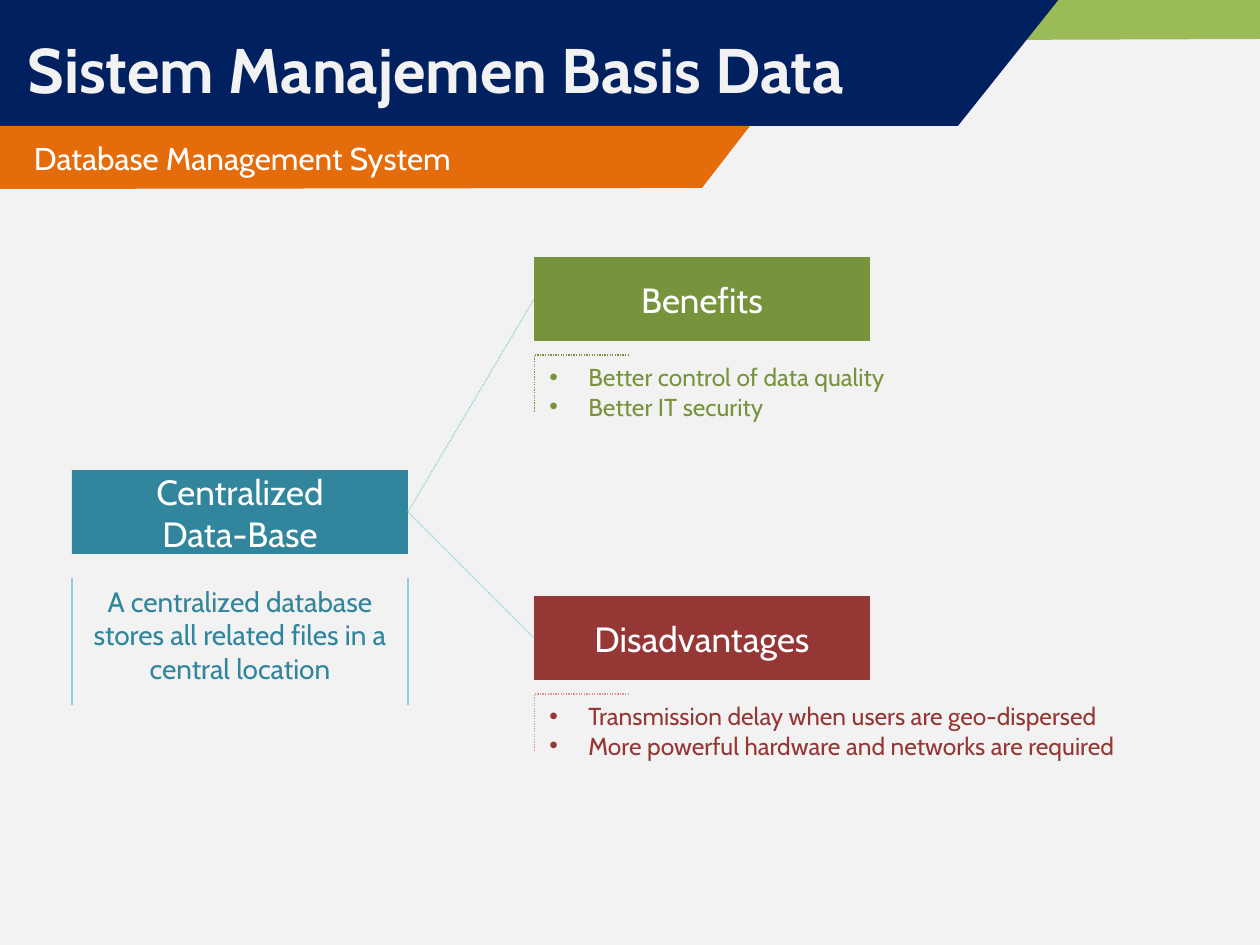
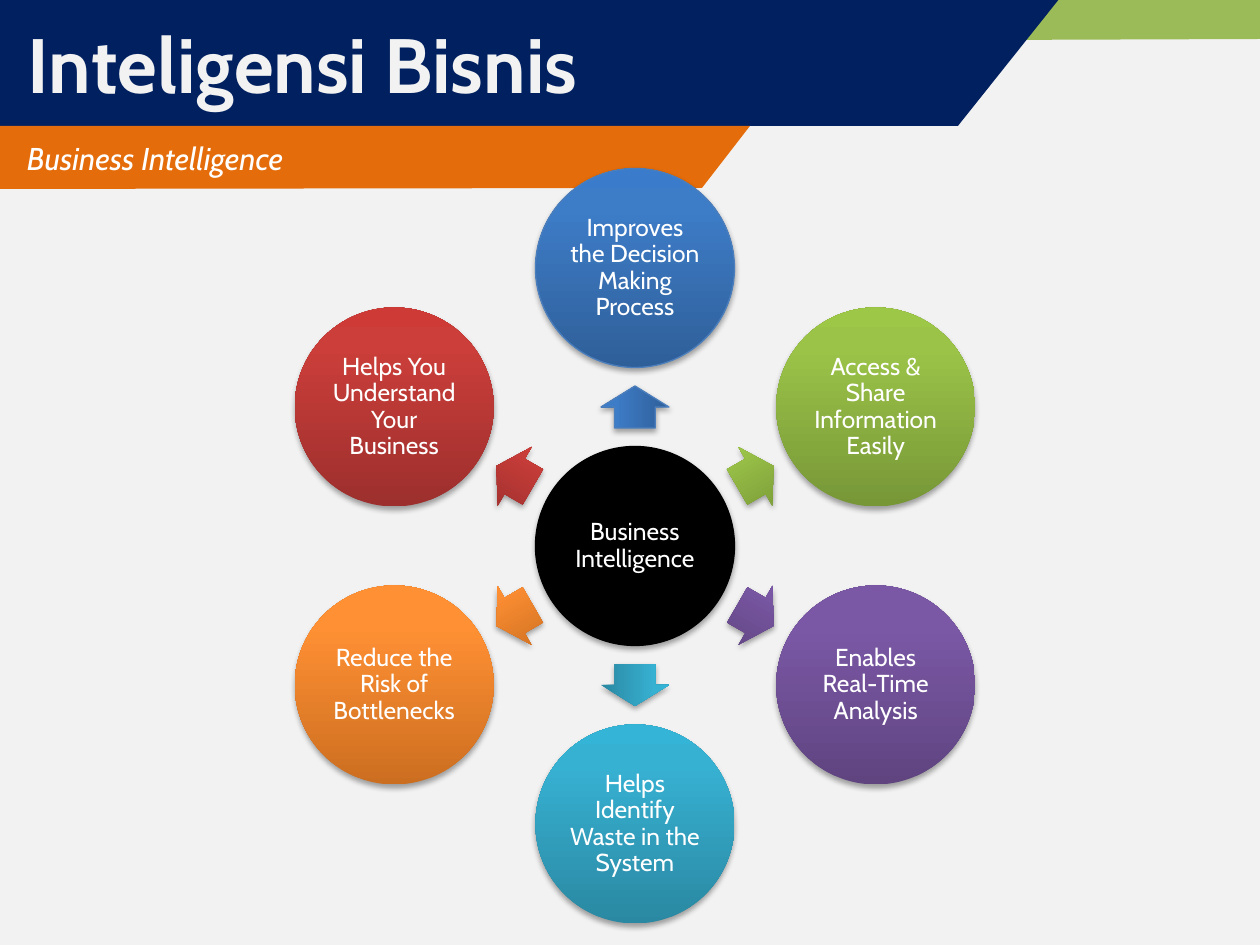
"""Build two slides on database management and business intelligence."""
from copy import deepcopy
from math import cos, radians, sin

from lxml import etree
from pptx import Presentation
from pptx.dml.color import RGBColor
from pptx.enum.dml import MSO_LINE
from pptx.enum.shapes import MSO_CONNECTOR, MSO_SHAPE
from pptx.enum.text import MSO_ANCHOR, MSO_AUTO_SIZE, PP_ALIGN
from pptx.oxml.ns import qn
from pptx.util import Emu, Pt

PX = 914400 / 126
FONT = "Cabin"
LEFT, CENTER = PP_ALIGN.LEFT, PP_ALIGN.CENTER
TOP, MIDDLE = MSO_ANCHOR.TOP, MSO_ANCHOR.MIDDLE
STRAIGHT, ELBOW = MSO_CONNECTOR.STRAIGHT, MSO_CONNECTOR.ELBOW
RECTANGLE, OVAL = MSO_SHAPE.RECTANGLE, MSO_SHAPE.OVAL
RIGHT_ARROW, LEFT_ARROW = MSO_SHAPE.RIGHT_ARROW, MSO_SHAPE.LEFT_ARROW
DOTTED = MSO_LINE.ROUND_DOT

PAPER = RGBColor(0xF2, 0xF2, 0xF2)
WHITE = RGBColor(0xFF, 0xFF, 0xFF)
BLACK = RGBColor(0, 0, 0)
NAVY = RGBColor(0x00, 0x20, 0x60)
ORANGE = RGBColor(0xE4, 0x6C, 0x0A)
LIME = RGBColor(0x9B, 0xBB, 0x59)
TEAL = RGBColor(0x31, 0x85, 0x9C)
PALE_TEAL = RGBColor(0x93, 0xCD, 0xDD)
GREEN = RGBColor(0x77, 0x93, 0x3C)
RED = RGBColor(0x95, 0x37, 0x35)
PALE_RED = RGBColor(0xD9, 0x96, 0x94)
BLUE_EDGE = RGBColor(0x4B, 0x7E, 0xBC)

CORNER_BAND = [(717, 0), (1260, 0), (1260, 39), (703, 41)]
TITLE_BAND = [(0, 0), (1060, -2), (958, 126), (0, 126)]
SUBTITLE_BAND = [(0, 126), (750, 126), (702, 188), (0, 189)]

DATABASE = {"title": "Sistem Manajemen Basis Data", "title_size": 36, "title_top": 5,
            "subtitle": "Database Management System", "subtitle_indent": 34, "italic": False}
INTELLIGENCE = {"title": "Inteligensi Bisnis", "title_size": 44, "title_top": 0,
                "subtitle": "Business Intelligence", "subtitle_indent": 27, "italic": True}

BOX_WIDTH, BOX_HEIGHT = 336, 84
ROOT_LEFT, ROOT_TOP = 72, 470
BRANCH_LEFT = 534
ROOT = ["Centralized", "Data-Base"]
ROOT_CAPTION = "A centralized database stores all related files in a central location"
BRANCHES = [
    ("Benefits", 257, GREEN, GREEN, 378,
     ["Better control of data quality", "Better IT security"]),
    ("Disadvantages", 596, RED, PALE_RED, 629,
     ["Transmission delay when users are geo-dispersed",
      "More powerful hardware and networks are required"]),
]

HUB = "Business Intelligence"
HUB_X, HUB_Y = 635, 546
CIRCLE, ORBIT = 199, 278
ARROW_LENGTH, ARROW_WIDTH = 42, 68
GRADIENT_POSITIONS = (0, 0.8, 1)
SPOKES = [
    ("Improves the Decision Making Process", ("2F5F99", "3D7CC7", "3A7CCB"), BLUE_EDGE),
    ("Access & Share Information Easily", ("779737", "9BC348", "9DC746"), None),
    ("Enables Real-Time Analysis", ("5F4480", "7B58A6", "7C57A8"), None),
    ("Helps Identify Waste in the System", ("2A88A2", "37B1D2", "34B4D6"), None),
    ("Reduce the Risk of Bottlenecks", ("CC6E20", "FF9034", "FF9136"), None),
    ("Helps You Understand Your Business", ("9C2F2D", "CB3E3A", "CE3B37"), None),
]


def px(*lengths):
    """Turn px lengths into EMU."""
    return [Emu(round(length * PX)) for length in lengths]


def write(shape, lines, size, color, align=LEFT, anchor=MIDDLE, bold=False, italic=False):
    """Put one paragraph per line into a shape and format it."""
    frame = shape.text_frame
    frame.text = "\n".join(lines)
    frame.word_wrap = True
    frame.auto_size = MSO_AUTO_SIZE.NONE
    frame.vertical_anchor = anchor
    for paragraph in frame.paragraphs:
        paragraph.alignment = align
        for run in paragraph.runs:
            font = run.font
            font.name, font.size, font.bold, font.italic = FONT, Pt(size), bold, italic
            font.color.rgb = color
    return frame


def paint(shape, color):
    """Give a shape a flat fill without outline or shadow."""
    shape.fill.solid()
    shape.fill.fore_color.rgb = color
    shape.line.fill.background()
    shape.shadow.inherit = False


def add_band(slide, points, color):
    """Draw a slanted header band."""
    builder = slide.shapes.build_freeform(*points[0], scale=PX)
    builder.add_line_segments(points[1:], close=True)
    band = builder.convert_to_shape()
    paint(band, color)
    return band


def add_titled_slide(presentation, heading):
    """Add a slide with the shared bands, title and subtitle."""
    slide = presentation.slides.add_slide(presentation.slide_layouts[5])
    add_band(slide, CORNER_BAND, LIME)
    add_band(slide, TITLE_BAND, NAVY)
    title = slide.shapes.title
    slide.shapes._spTree.append(title._element)
    title.left, title.top, title.width, title.height = px(0, heading["title_top"], 1260, 126)
    frame = write(title, [heading["title"]], heading["title_size"], PAPER, bold=True)
    frame.margin_left, = px(28)
    subtitle = add_band(slide, SUBTITLE_BAND, ORANGE)
    frame = write(subtitle, [heading["subtitle"]], 18, WHITE, italic=heading["italic"])
    frame.margin_left, = px(heading["subtitle_indent"])
    return slide


def add_box(slide, left, top, lines, color):
    """Add a coloured heading box."""
    box = slide.shapes.add_shape(RECTANGLE, *px(left, top, BOX_WIDTH, BOX_HEIGHT))
    paint(box, color)
    write(box, lines, 20, WHITE, CENTER)


def add_line(slide, start, end, color, dash=None, kind=STRAIGHT):
    """Add a thin connector."""
    line = slide.shapes.add_connector(kind, *px(*start, *end))
    line.line.color.rgb = color
    line.line.width = Pt(0.75)
    line.line.dash_style = dash
    etree.SubElement(line._element.spPr, qn("a:effectLst"))
    return line


def add_bullets(slide, left, top, width, items, color):
    """Add a bulleted list."""
    box = slide.shapes.add_textbox(*px(left, top, width, 72))
    frame = write(box, items, 14, color, anchor=TOP)
    frame.word_wrap = False
    indent, = px(39)
    for paragraph in frame.paragraphs:
        properties = paragraph._p.get_or_add_pPr()
        properties.set("marL", str(indent))
        properties.set("indent", str(-indent))
        etree.SubElement(properties, qn("a:buFont"), typeface="Arial")
        etree.SubElement(properties, qn("a:buChar"), char="•")


def build_database_slide(presentation):
    """Draw the centralized database with its two branches."""
    slide = add_titled_slide(presentation, DATABASE)
    root_right = ROOT_LEFT + BOX_WIDTH
    add_box(slide, ROOT_LEFT, ROOT_TOP, ROOT, TEAL)
    caption = slide.shapes.add_textbox(*px(ROOT_LEFT, 578, BOX_WIDTH, 115))
    write(caption, [ROOT_CAPTION], 16, TEAL, CENTER, TOP)
    for x in (ROOT_LEFT, root_right):
        add_line(slide, (x, 578), (x, 705), PALE_TEAL)
    for name, top, color, bracket_color, width, items in BRANCHES:
        add_box(slide, BRANCH_LEFT, top, [name], color)
        add_line(slide, (root_right, ROOT_TOP + BOX_HEIGHT // 2),
                 (BRANCH_LEFT, top + BOX_HEIGHT // 2), PALE_TEAL, DOTTED)
        bracket = add_line(slide, (BRANCH_LEFT, top + 154), (BRANCH_LEFT + 95, top + 98),
                           bracket_color, DOTTED, ELBOW)
        guides = bracket._element.spPr.find(".//" + qn("a:avLst"))
        etree.SubElement(guides, qn("a:gd"), name="adj1", fmla="val 400")
        add_bullets(slide, BRANCH_LEFT + 3, top + 99, width, items, color)


def fill_gradient(shape, colors):
    """Fill a shape from bottom to top through three colours."""
    shape.fill.gradient()
    shape.fill.gradient_angle = 90
    stop_list = shape._element.spPr.find(".//" + qn("a:gsLst"))
    stop_list.append(deepcopy(stop_list[0]))
    for stop, position, color in zip(shape.fill.gradient_stops, GRADIENT_POSITIONS, colors):
        stop.position = position
        stop.color.rgb = RGBColor.from_string(color)


def add_shadow(shape):
    """Give a shape a soft shadow below."""
    shape.shadow.inherit = False
    effects = shape._element.spPr.find(qn("a:effectLst"))
    shadow = etree.SubElement(effects, qn("a:outerShdw"), blurRad="40000", dist="23000",
                              dir="5400000", rotWithShape="0")
    color = etree.SubElement(shadow, qn("a:srgbClr"), val="000000")
    etree.SubElement(color, qn("a:alpha"), val="35000")


def add_centered(slide, kind, x, y, width, height, colors, edge):
    """Add a shaded shape around a centre point."""
    shape = slide.shapes.add_shape(kind, *px(x - width / 2, y - height / 2, width, height))
    paint(shape, BLACK)
    if colors:
        fill_gradient(shape, colors)
    if edge is not None:
        shape.line.color.rgb = edge
        shape.line.width = Pt(0.75)
    add_shadow(shape)
    return shape


def add_circle(slide, x, y, text, colors, edge):
    """Add a labelled circle."""
    circle = add_centered(slide, OVAL, x, y, CIRCLE, CIRCLE, colors, edge)
    frame = write(circle, [text], 14, WHITE, CENTER)
    frame.margin_left, frame.margin_right, frame.margin_top, frame.margin_bottom = px(4, 4, 4, 4)
    frame.paragraphs[0].line_spacing = 0.9


def build_intelligence_slide(presentation):
    """Draw the hub with its ring of benefits."""
    slide = add_titled_slide(presentation, INTELLIGENCE)
    add_circle(slide, HUB_X, HUB_Y, HUB, None, BLACK)
    for index, (text, colors, edge) in enumerate(SPOKES):
        angle = index * 360 / len(SPOKES) - 90
        dx, dy = ORBIT * cos(radians(angle)), ORBIT * sin(radians(angle))
        points_left = angle > 90
        arrow = add_centered(slide, LEFT_ARROW if points_left else RIGHT_ARROW,
                             HUB_X + dx / 2, HUB_Y + dy / 2,
                             ARROW_LENGTH, ARROW_WIDTH, colors, edge)
        arrow.adjustments[0], arrow.adjustments[1] = 0.6, 0.5
        arrow.rotation = (angle - 180 if points_left else angle) % 360
        add_circle(slide, HUB_X + dx, HUB_Y + dy, text, colors, edge)


def main():
    """Build and save the presentation."""
    presentation = Presentation()
    presentation.slide_width, presentation.slide_height = px(1260, 945)
    background = presentation.slide_master.background.fill
    background.solid()
    background.fore_color.rgb = PAPER
    build_database_slide(presentation)
    build_intelligence_slide(presentation)
    presentation.save("out.pptx")


if __name__ == "__main__":
    main()
